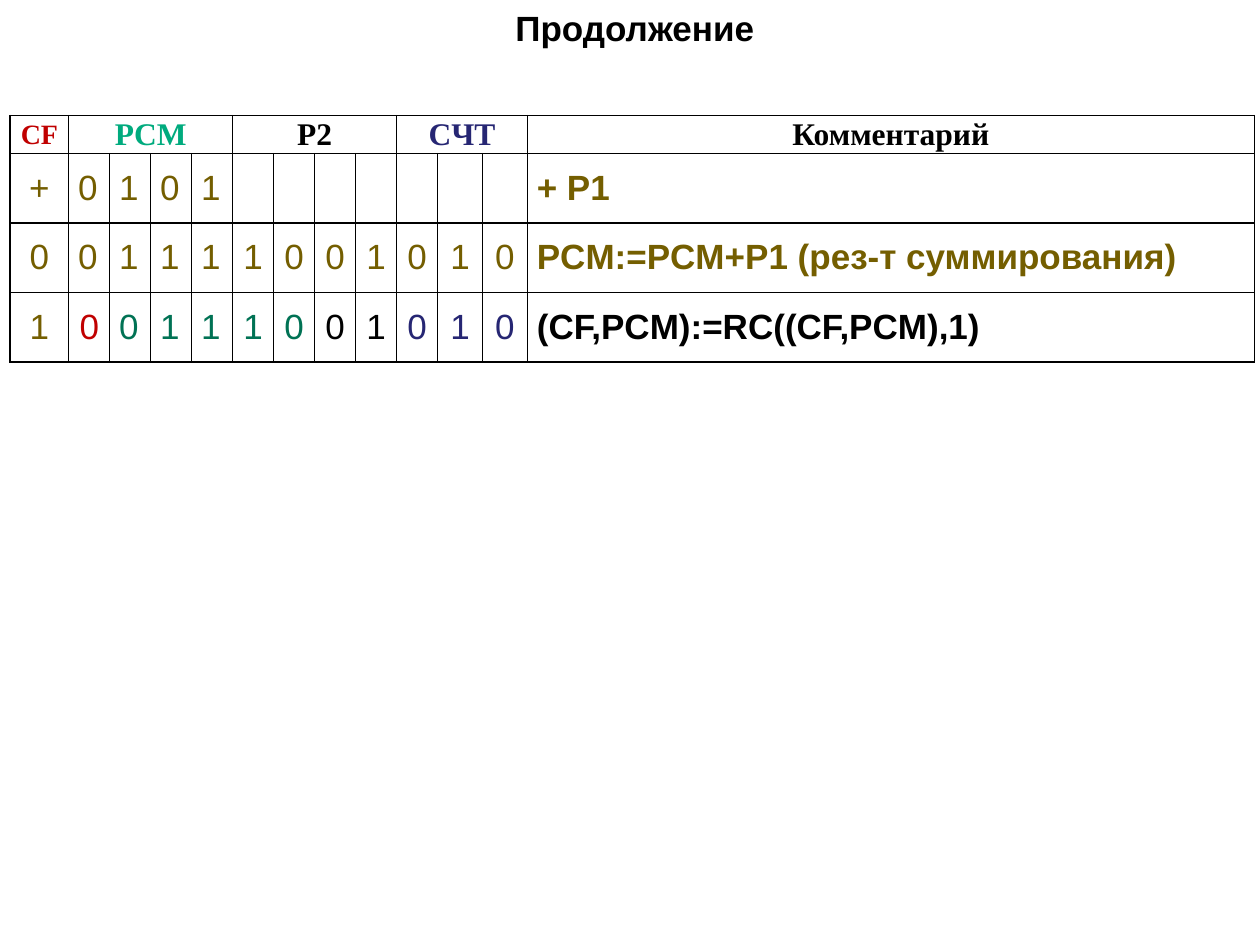
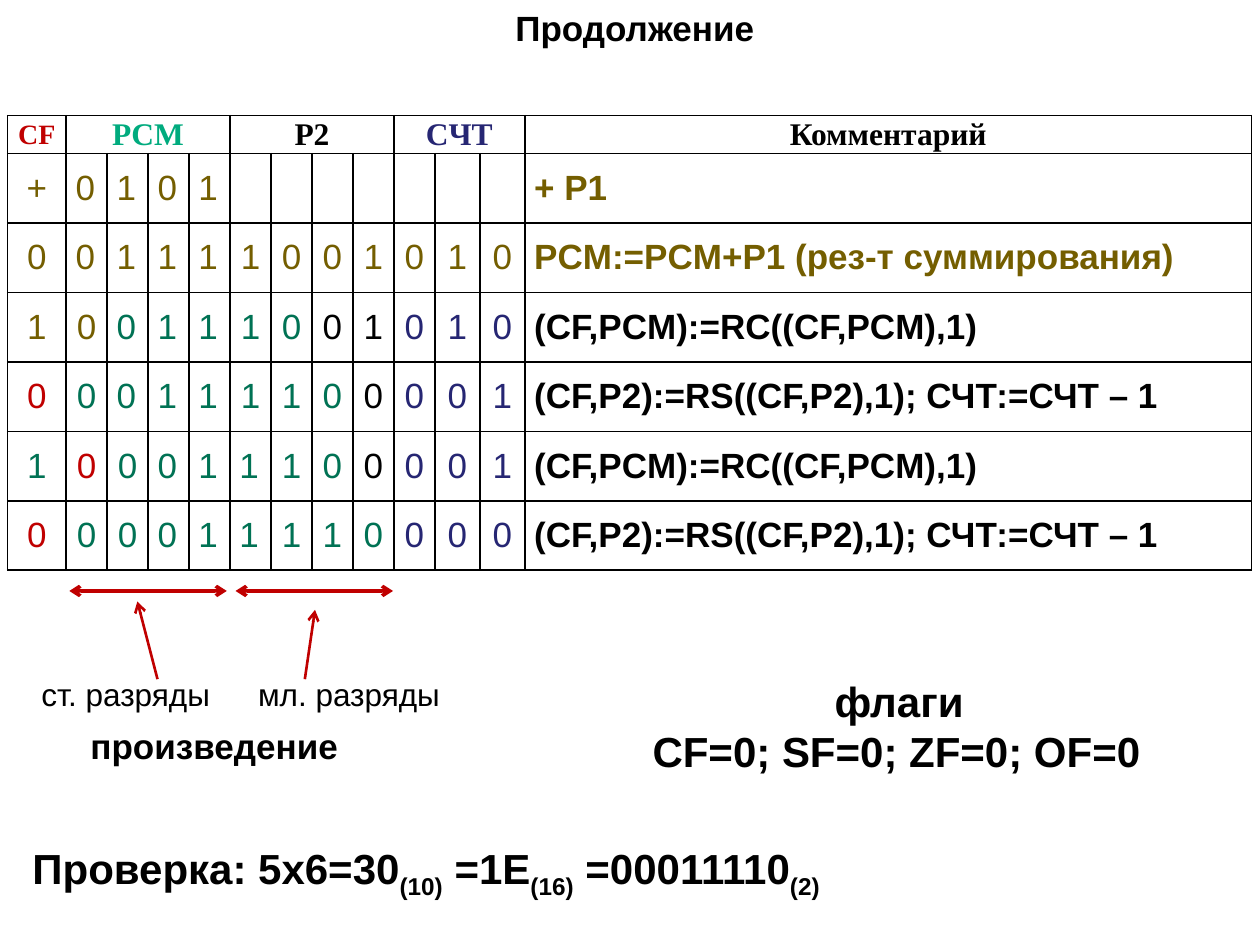
from lxml import etree
from pptx import Presentation
from pptx.dml.color import RGBColor
from pptx.enum.shapes import MSO_CONNECTOR
from pptx.enum.text import MSO_ANCHOR, MSO_AUTO_SIZE, PP_ALIGN
from pptx.oxml.ns import qn
from pptx.util import Pt

SLIDE_WIDTH, SLIDE_HEIGHT = 720, 540
HUES = {"k": "000000", "r": "C00000", "o": "745E00", "g": "007254", "b": "262673"}
PCM_GREEN = "00AB7E"

COLUMN_WIDTHS = [33.5] + [23.43] * 9 + [25.7] * 2 + [415.4]
HEADER_HEIGHT, STEP_HEIGHT = 20.2, 39.7
TABLE_TOP = 66.1
# label, first column, last column, size, colour
REGISTERS = [
    ("CF", 0, 0, 16, HUES["r"]),
    ("PCM", 1, 4, 18, PCM_GREEN),
    ("P2", 5, 8, 18, HUES["k"]),
    ("CЧТ", 9, 11, 18, HUES["b"]),
    ("Комментарий", 12, 12, 18, HUES["k"]),
]

ROTATE_CARRY = "(CF,PCM):=RС((CF,PCM),1)"
SHIFT_RIGHT = "(CF,P2):=RS((CF,P2),1); СЧТ:=СЧТ – 1"
# bits, hue of each bit, left-aligned columns, comment, hue of the comment
ADDITION = [
    ("+0101", "ooooo", range(1, 5), "+ P1", "o"),
    ("001111001010", "o" * 12, range(1, 5), "PCM:=PCM+P1 (рез-т суммирования)", "o"),
]
FIRST_ROTATION = ("100111001010", "orgggggkkbbb", range(2, 5), ROTATE_CARRY, "k")
SECOND_CYCLE = [
    ("100111001010", "oogggggkkbbb", range(2, 5), ROTATE_CARRY, "k"),
    ("000111100001", "rgggggggkbbb", range(2, 5), SHIFT_RIGHT, "k"),
    ("100011100001", "grggggggkbbb", range(3, 6), ROTATE_CARRY, "k"),
    ("000011110000", "rggggggggbbb", range(3, 6), SHIFT_RIGHT, "k"),
]


def rgb(value):
    return RGBColor.from_string(value)


def write(paragraph, text, size=20, color=HUES["k"], bold=False, font="Arial",
          align=PP_ALIGN.LEFT, space_after=0, baseline=0):
    paragraph.alignment = align
    paragraph.space_after = Pt(space_after)
    run = paragraph.add_run()
    run.text = text
    run.font.size = Pt(size)
    run.font.name = font
    run.font.bold = bold
    run.font.color.rgb = rgb(color)
    if baseline:
        run.font._element.set("baseline", str(baseline * 1000))


def add_label(slide, left, top, width, height, wrap=False):
    """Add an empty text box that grows with its text and return its frame."""
    frame = slide.shapes.add_textbox(Pt(left), Pt(top), Pt(width), Pt(height)).text_frame
    frame.word_wrap = wrap
    frame.auto_size = MSO_AUTO_SIZE.SHAPE_TO_FIT_TEXT
    return frame


def add_title(slide):
    frame = add_label(slide, 0, 0, SLIDE_WIDTH, 31.5, wrap=True)
    write(frame.paragraphs[0], " Продолжение", bold=True, align=PP_ALIGN.CENTER)


def frame_cell(cell):
    """Give a cell black borders, no fill and tight margins."""
    properties = cell._tc.get_or_add_tcPr()
    for side in ("lnL", "lnR", "lnT", "lnB"):
        border = etree.SubElement(properties, qn(f"a:{side}"), w=str(Pt(1)))
        fill = etree.SubElement(border, qn("a:solidFill"))
        etree.SubElement(fill, qn("a:srgbClr"), val=HUES["k"])
    cell.fill.background()
    cell.margin_left = cell.margin_right = Pt(5.4)
    cell.margin_top = cell.margin_bottom = 0
    cell.vertical_anchor = MSO_ANCHOR.MIDDLE


def add_trace_table(slide, left, top, steps):
    """Add the register trace, one row for each step."""
    height = HEADER_HEIGHT + STEP_HEIGHT * len(steps)
    table = slide.shapes.add_table(len(steps) + 1, len(COLUMN_WIDTHS), Pt(left), Pt(top),
                                   Pt(sum(COLUMN_WIDTHS)), Pt(height)).table
    table.first_row = table.horz_banding = False
    for column, width in zip(table.columns, COLUMN_WIDTHS):
        column.width = Pt(width)
    for index, row in enumerate(table.rows):
        row.height = Pt(STEP_HEIGHT if index else HEADER_HEIGHT)
    for cell in table.iter_cells():
        frame_cell(cell)

    for label, first, last, size, color in REGISTERS:
        header = table.cell(0, first)
        if last > first:
            header.merge(table.cell(0, last))
        write(header.text_frame.paragraphs[0], label, size=size, color=color, bold=True,
              font="Times New Roman", align=PP_ALIGN.CENTER, space_after=3)

    for row, (bits, hues, left_columns, comment, comment_hue) in enumerate(steps, 1):
        for column, (bit, hue) in enumerate(zip(bits, hues)):
            align = PP_ALIGN.LEFT if column in left_columns else PP_ALIGN.CENTER
            write(table.cell(row, column).text_frame.paragraphs[0], bit,
                  color=HUES[hue], align=align, space_after=3)
        write(table.cell(row, len(COLUMN_WIDTHS) - 1).text_frame.paragraphs[0], comment,
              color=HUES[comment_hue], bold=True, space_after=3)


def add_arrow(slide, start, end, width, ends=("tailEnd",)):
    arrow = slide.shapes.add_connector(MSO_CONNECTOR.STRAIGHT, *map(Pt, start + end))
    arrow.line.color.rgb = rgb(HUES["r"])
    arrow.line.width = Pt(width)
    line = arrow.line._get_or_add_ln()
    for name in ends:
        etree.SubElement(line, qn(f"a:{name}"), type="arrow")
    etree.SubElement(arrow._element.spPr, qn("a:effectLst"))


def add_product(slide, left, top):
    """Mark the high and low digits of the product below the table."""
    for offset in (0, 95):
        add_arrow(slide, (left + offset, top), (left + offset + 90, top), 2,
                  ends=("headEnd", "tailEnd"))
    digits = [
        ("ст. разряды", -23, 111.6, (50.4, 38.9, 6)),
        ("мл. разряды", 100.8, 119.5, (134.6, 140.4, 10.8)),
    ]
    for label, offset, width, (tail_x, tip_x, tip_y) in digits:
        frame = add_label(slide, left + offset, top + 44.6, width, 29)
        write(frame.paragraphs[0], label, size=18)
        add_arrow(slide, (left + tail_x, top + 50.4), (left + tip_x, top + tip_y), 1.5)
    frame = add_label(slide, left + 5, top + 72.7, 157, 31.5)
    write(frame.paragraphs[0], "произведение", bold=True)


def add_flags(slide, left, top):
    frame = add_label(slide, left, top, 296, 65.4)
    write(frame.paragraphs[0], "флаги", size=24, bold=True, align=PP_ALIGN.CENTER)
    write(frame.add_paragraph(), "CF=0; SF=0; ZF=0; OF=0", size=24, bold=True)


def add_check(slide, left, top):
    """Write the product in three bases, with each base as a subscript."""
    frame = add_label(slide, left, top, SLIDE_WIDTH - left, 36.4, wrap=True)
    for value, base in [("Проверка: 5х6=30", "(10)"), (" =1E", "(16)"), (" =00011110", "(2)")]:
        write(frame.paragraphs[0], value, size=24, bold=True)
        write(frame.paragraphs[0], base, size=24, bold=True, baseline=-25)


def add_trace_slide(presentation, table_left, steps):
    slide = presentation.slides.add_slide(presentation.slide_layouts[6])
    add_title(slide)
    add_trace_table(slide, table_left, TABLE_TOP, steps)
    return slide


def main():
    presentation = Presentation()
    presentation.slide_width, presentation.slide_height = Pt(SLIDE_WIDTH), Pt(SLIDE_HEIGHT)

    add_trace_slide(presentation, 5.8, ADDITION + [FIRST_ROTATION])

    result = add_trace_slide(presentation, 4.3, ADDITION + SECOND_CYCLE)
    add_product(result, 39.6, 337.7)
    add_flags(result, 365.8, 382.3)
    add_check(result, 11.5, 478)

    presentation.save("out.pptx")


if __name__ == "__main__":
    main()
